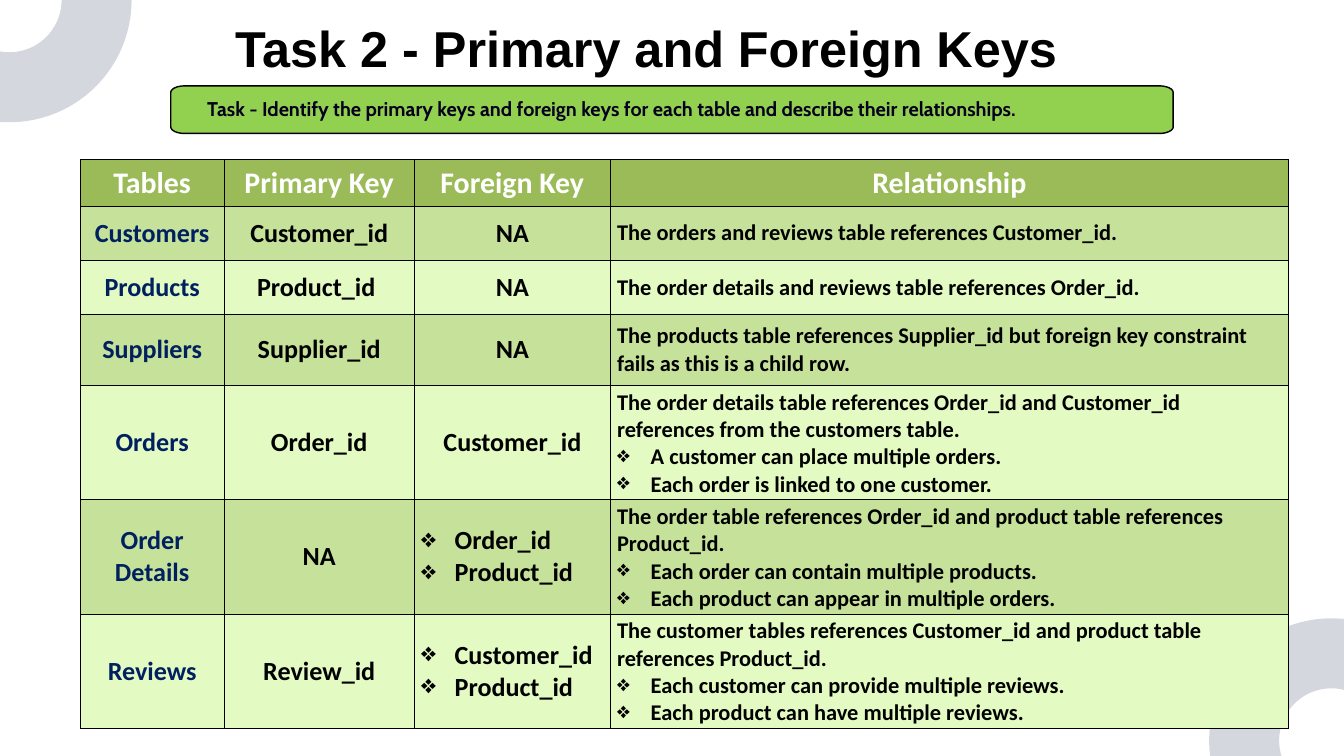
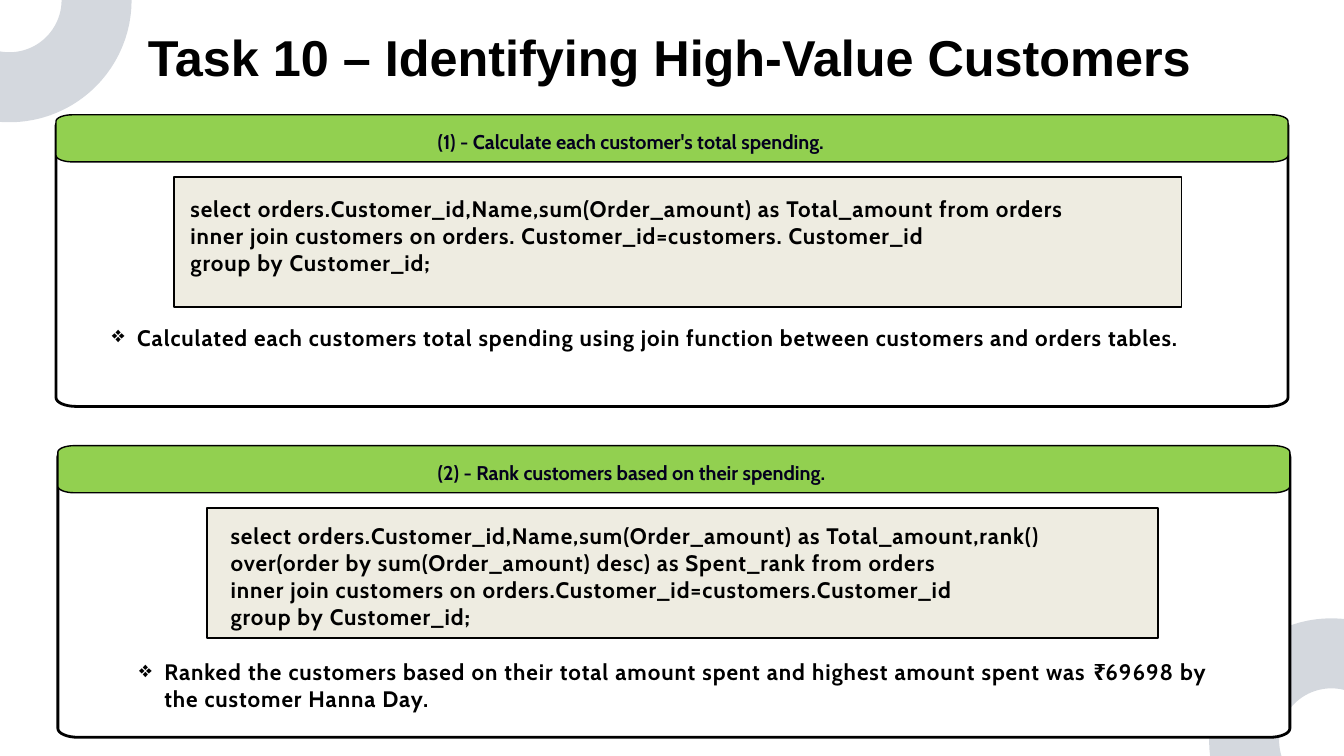
import math

import pptx
import pptx.dml.color
import pptx.enum.shapes
import pptx.enum.text
import pptx.oxml
import pptx.oxml.ns
import pptx.util

Pt = pptx.util.Pt
RGBColor = pptx.dml.color.RGBColor
Align = pptx.enum.text.PP_ALIGN
Shape = pptx.enum.shapes.MSO_SHAPE

BLACK = RGBColor(0x00, 0x00, 0x00)
WHITE = RGBColor(0xFF, 0xFF, 0xFF)
INK = RGBColor(0x04, 0x00, 0x1E)
NAVY = RGBColor(0x00, 0x20, 0x60)
RING_BLUE = RGBColor(0x05, 0x1D, 0x40)
BAND_GREEN = RGBColor(0x92, 0xD0, 0x50)
HEADER_GREEN = RGBColor(0x9B, 0xBB, 0x59)
ROW_GREENS = (RGBColor(0xC6, 0xE1, 0x99), RGBColor(0xE3, 0xFA, 0xC2))
CODE_BEIGE = RGBColor(0xEE, 0xEC, 0xE1)

BULLET = "❖ "
SQL_STYLE = dict(size=24, font="Cabin", color=BLACK, tracking=1)

KEY_HEADER = ("Tables", "Primary Key", "Foreign Key", "Relationship")
KEY_ROWS = (
    ("Customers", "Customer_id", "NA",
     ["The orders and reviews table references Customer_id."]),
    ("Products", "Product_id ", "NA",
     ["The order details and reviews table references Order_id."]),
    ("Suppliers", "Supplier_id", "NA",
     ["The products table references Supplier_id but foreign key constraint "
      "fails as this is a child row."]),
    ("Orders", "Order_id", "Customer_id",
     ["The order details table references Order_id and Customer_id "
      "references from the customers table.",
      "❖ A customer can place multiple orders.",
      "❖ Each order is linked to one customer."]),
    ("Order Details", "NA", ["❖ Order_id", "❖ Product_id"],
     ["The order table references Order_id and product table references Product_id.",
      "❖ Each order can contain multiple products.",
      "❖ Each product can appear in multiple orders."]),
    ("Reviews", "Review_id", ["❖ Customer_id", "❖ Product_id"],
     ["The customer tables references Customer_id and product table "
      "references Product_id.",
      "❖ Each customer can provide multiple reviews.",
      "❖ Each product can have multiple reviews."]),
)
KEY_COLUMNS = (154, 204, 210, 726.5)
KEY_HEIGHTS = (50, 58, 58, 76, 122.5, 122.5, 122.5)

SPENDING_SQL = (
    "select orders.Customer_id,Name,sum(Order_amount) as Total_amount from orders\n"
    "inner join customers on orders. Customer_id=customers. Customer_id\n"
    "group by Customer_id;")
RANK_SQL = (
    "select orders.Customer_id,Name,sum(Order_amount) as Total_amount,rank()\n"
    "over(order by sum(Order_amount) desc) as Spent_rank from orders\n"
    "inner join customers on orders.Customer_id=customers.Customer_id\n"
    "group by Customer_id;")


def write(frame, text, size=24, font="Calibri", color=BLACK, align=Align.LEFT,
          spacing=None, tracking=0, indent=36):
    frame.word_wrap = True
    lines = [text] if isinstance(text, str) else text
    for index, line in enumerate(lines):
        paragraph = frame.add_paragraph() if index else frame.paragraphs[0]
        bulleted = line.startswith(BULLET)
        paragraph.text = line.removeprefix(BULLET)
        paragraph.alignment = Align.LEFT if bulleted and align == Align.CENTER else align
        if spacing:
            paragraph.line_spacing = spacing
        if bulleted:
            properties = paragraph._p.get_or_add_pPr()
            properties.set("marL", str(Pt(indent)))
            properties.set("indent", str(-Pt(indent)))
            mark = pptx.oxml.parse_xml(
                f'<a:buChar {pptx.oxml.ns.nsdecls("a")} char="{BULLET.strip()}"/>')
            properties.append(mark)
        for run in paragraph.runs:
            run.font.name = font
            run.font.size = Pt(size)
            run.font.bold = True
            run.font.color.rgb = color
            if tracking:
                run._r.get_or_add_rPr().set("spc", str(tracking * 100))


def add_text(slide, text, left, top, width, height, **style):
    frame = slide.shapes.add_textbox(Pt(left), Pt(top), Pt(width), Pt(height)).text_frame
    frame.margin_left = frame.margin_right = frame.margin_top = frame.margin_bottom = 0
    write(frame, text, **style)


def add_title(slide, text, left, top, width):
    add_text(slide, text, left, top, width, 63, size=54, font="Arial", spacing=Pt(66))


def paint(shape, fill, line_width, line=BLACK):
    shape.shadow.inherit = False
    if fill is None:
        shape.fill.background()
    else:
        shape.fill.solid()
        shape.fill.fore_color.rgb = fill
    shape.line.color.rgb = line
    shape.line.width = Pt(line_width)


def add_rounded(slide, left, top, width, height, radius_x, radius_y, fill, line_width):
    right, bottom = left + width - radius_x, top + height - radius_y
    corners = ((right, top + radius_y), (right, bottom),
               (left + radius_x, bottom), (left + radius_x, top + radius_y))
    steps = 8
    points = []
    for quarter, (x, y) in enumerate(corners):
        for step in range(steps + 1):
            angle = math.pi / 2 * (quarter - 1 + step / steps)
            points.append((Pt(x + radius_x * math.cos(angle)),
                           Pt(y + radius_y * math.sin(angle))))
    builder = slide.shapes.build_freeform(*points[0])
    builder.add_line_segments(points[1:], close=True)
    paint(builder.convert_to_shape(), fill, line_width)


def add_corner_rings(slide):
    diameter = 187
    for left, top in ((-83.5, -93.5), (1333, 700)):
        ring = slide.shapes.add_shape(
            Shape.OVAL, Pt(left), Pt(top), Pt(diameter), Pt(diameter))
        paint(ring, None, 75, RING_BLUE)
        color = ring.line._ln.find(".//" + pptx.oxml.ns.qn("a:srgbClr"))
        color.append(pptx.oxml.parse_xml(
            f'<a:alpha {pptx.oxml.ns.nsdecls("a")} val="16000"/>'))


def add_borders(cell):
    properties = cell._tc.get_or_add_tcPr()
    for index, side in enumerate("LRTB"):
        properties.insert(index, pptx.oxml.parse_xml(
            f'<a:ln{side} {pptx.oxml.ns.nsdecls("a")} w="{Pt(1)}"><a:solidFill>'
            f'<a:srgbClr val="{BLACK}"/></a:solidFill></a:ln{side}>'))


def add_key_table(slide):
    rows = (KEY_HEADER,) + KEY_ROWS
    table = slide.shapes.add_table(
        len(rows), len(KEY_COLUMNS), Pt(86), Pt(171),
        Pt(sum(KEY_COLUMNS)), Pt(sum(KEY_HEIGHTS))).table
    table.horz_banding = False
    for column, width in zip(table.columns, KEY_COLUMNS):
        column.width = Pt(width)
    for row, height in zip(table.rows, KEY_HEIGHTS):
        row.height = Pt(height)
    for r, row in enumerate(rows):
        for c, text in enumerate(row):
            cell = table.cell(r, c)
            cell.vertical_anchor = pptx.enum.text.MSO_ANCHOR.MIDDLE
            cell.fill.solid()
            cell.fill.fore_color.rgb = ROW_GREENS[(r - 1) % 2] if r else HEADER_GREEN
            add_borders(cell)
            if r == 0:
                style = dict(size=32, color=WHITE, align=Align.CENTER)
            elif c == 3:
                style = dict(size=24)
            else:
                style = dict(size=28, color=BLACK if c else NAVY, align=Align.CENTER)
            write(cell.text_frame, text, **style)


def add_query_section(slide, left, top, heading, sql, code_left, code_width,
                      sql_left, sql_offset):
    add_rounded(slide, left, top + 2.5, 1320, 310, 21.5, 9.5, WHITE, 3)
    code = slide.shapes.add_shape(
        Shape.RECTANGLE, Pt(code_left), Pt(top + 67), Pt(code_width), Pt(139))
    paint(code, CODE_BEIGE, 2)
    add_rounded(slide, left, top, 1320, 50.5, 18, 7, BAND_GREEN, 1.5)
    add_text(slide, heading, 469, top + 14.5, 491, 27,
             size=21.3, font="Cabin", color=INK, spacing=1.07)
    add_text(slide, sql, sql_left, top + sql_offset, 1000, 117, **SQL_STYLE)


def add_finding(slide, text, left, top):
    add_text(slide, BULLET + text, left, top, 1145.5, 58,
             align=Align.JUSTIFY, indent=27, **SQL_STYLE)


def add_keys_slide(slide):
    add_rounded(slide, 183, 92, 1074, 51, 15, 7, BAND_GREEN, 1.5)
    add_text(slide, "Task - Identify the primary keys and foreign keys for each table "
             "and describe their relationships.", 222, 104.5, 1034.5, 25,
             size=21.3, font="Cabin", color=INK, spacing=Pt(24.9))
    add_corner_rings(slide)
    add_title(slide, "Task 2 - Primary and Foreign Keys", 252, 17, 1027)
    add_key_table(slide)


def add_customers_slide(slide):
    add_title(slide, "Task 10 – Identifying High-Value Customers", 158.5, 26.5, 1224)
    add_query_section(slide, 60, 123, "(1) - Calculate each customer's total spending.",
                      SPENDING_SQL, 186, 1080, 204, 86.5)
    add_corner_rings(slide)
    add_finding(slide, "Calculated each customers total spending using join function "
                "between customers and orders tables.", 120, 347)
    add_query_section(slide, 62, 477.5, "(2) - Rank customers based on their spending.",
                      RANK_SQL, 222, 1019, 247, 82)
    add_finding(slide, "Ranked the customers based on their total amount spent and "
                "highest amount spent was ₹69698 by the customer Hanna Day.", 149, 705.5)


def main():
    deck = pptx.Presentation()
    deck.slide_width, deck.slide_height = Pt(1440), Pt(810)
    blank = deck.slide_layouts[6]
    for fill_slide in (add_keys_slide, add_customers_slide):
        fill_slide(deck.slides.add_slide(blank))
    deck.save("out.pptx")


if __name__ == "__main__":
    main()
